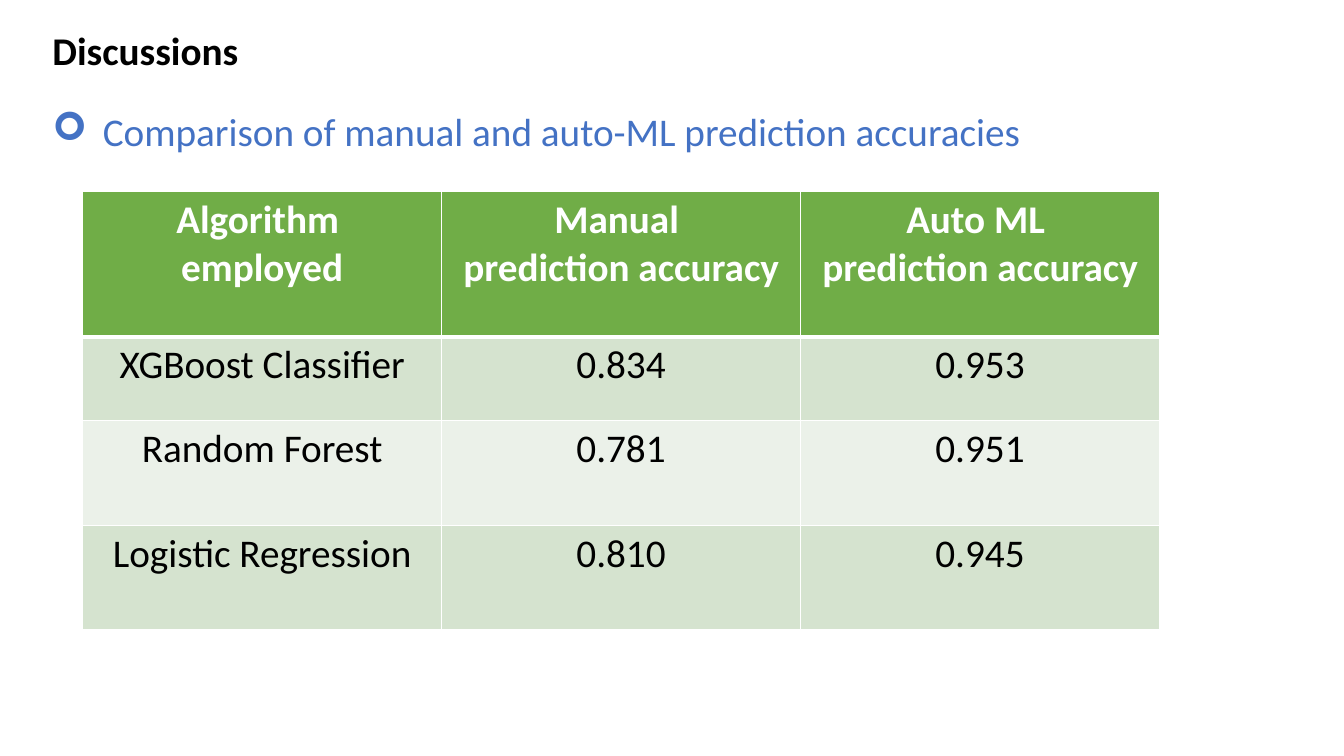
import pptx
import pptx.util
import pptx.dml.color
import pptx.enum.text
import pptx.oxml
import pptx.oxml.ns

Inches = pptx.util.Inches
Pt = pptx.util.Pt
Align = pptx.enum.text.PP_ALIGN
Anchor = pptx.enum.text.MSO_ANCHOR
hues = {
    "ink": "000000",
    "blue": "4472C4",
    "white": "FFFFFF",
    "head": "70AD47",
    "odd": "D5E3CF",
    "even": "EBF1E9",
}


def style(para, text, hue, bold, **form):
    run = para.add_run()
    run.text = text
    run.font.color.rgb = pptx.dml.color.RGBColor.from_string(hues[hue])
    font = {"name": "Calibri", "size": Pt(28), "bold": bold}
    for name, value in font.items():
        setattr(run.font, name, value)
    for name, value in form.items():
        setattr(para, name, value)


def place(shape, left, top, width, height):
    spots = {"left": left, "top": top, "width": width, "height": height}
    for name, value in spots.items():
        setattr(shape, name, Inches(value))
    frame = shape.text_frame
    frame.word_wrap = True
    frame.auto_size = pptx.enum.text.MSO_AUTO_SIZE.NONE
    frame.vertical_anchor = Anchor.TOP
    return frame.paragraphs[0]


deck = pptx.Presentation()
deck.slide_width = Inches(13.33)
deck.slide_height = Inches(7.5)
slide = deck.slides.add_slide(deck.slide_layouts[1])

title = place(slide.shapes.title, 0.42, 0.21, 12.63, 0.57)
style(title, "Discussions", "ink", True, alignment=Align.LEFT)

point = place(slide.placeholders[1], 0.42, 0.78, 12.52, 0.73)
style(point, "Comparison of manual and auto-ML prediction accuracies", "blue", False,
      alignment=Align.LEFT, line_spacing=1.5, space_before=Pt(0))
props = point._p.get_or_add_pPr()
props.set("marL", str(Inches(0.5)))
props.set("indent", str(Inches(-0.5)))
space = pptx.oxml.ns.nsdecls("a")
for mark in ('buFont typeface="Wingdings"', 'buChar char="➢"'):
    props.append(pptx.oxml.parse_xml(f"<a:{mark} {space}/>"))

rows = [
    ["Algorithm \nemployed", "Manual \nprediction accuracy", "Auto ML \nprediction accuracy"],
    ["XGBoost Classifier", "0.834", "0.953"],
    ["Random Forest", "0.781", "0.951"],
    ["Logistic Regression", "0.810", "0.945"],
]
highs = [1.44, 0.83, 1.04, 1.04]
grid = slide.shapes.add_table(len(rows), 3, Inches(0.82), Inches(1.9),
                              Inches(10.68), Inches(sum(highs))).table
for col in grid.columns:
    col.width = Inches(3.56)

for r, (row, high) in enumerate(zip(rows, highs)):
    grid.rows[r].height = Inches(high)
    head = r == 0
    fill = "head" if head else "odd" if r % 2 else "even"
    edges = {"lnL": 1, "lnR": 1, "lnT": 3 if r == 1 else 1, "lnB": 3 if head else 1}
    for c, text in enumerate(row):
        cell = grid.cell(r, c)
        for edge, width in edges.items():
            cell._tc.get_or_add_tcPr().append(pptx.oxml.parse_xml(
                f'<a:{edge} {space} w="{Pt(width)}"><a:solidFill>'
                f'<a:srgbClr val="{hues["white"]}"/></a:solidFill></a:{edge}>'))
        cell.fill.solid()
        cell.fill.fore_color.rgb = pptx.dml.color.RGBColor.from_string(hues[fill])
        for n, line in enumerate(text.split("\n")):
            frame = cell.text_frame
            para = frame.add_paragraph() if n else frame.paragraphs[0]
            style(para, line, "white" if head else "ink", head, alignment=Align.CENTER)

deck.save("out.pptx")
